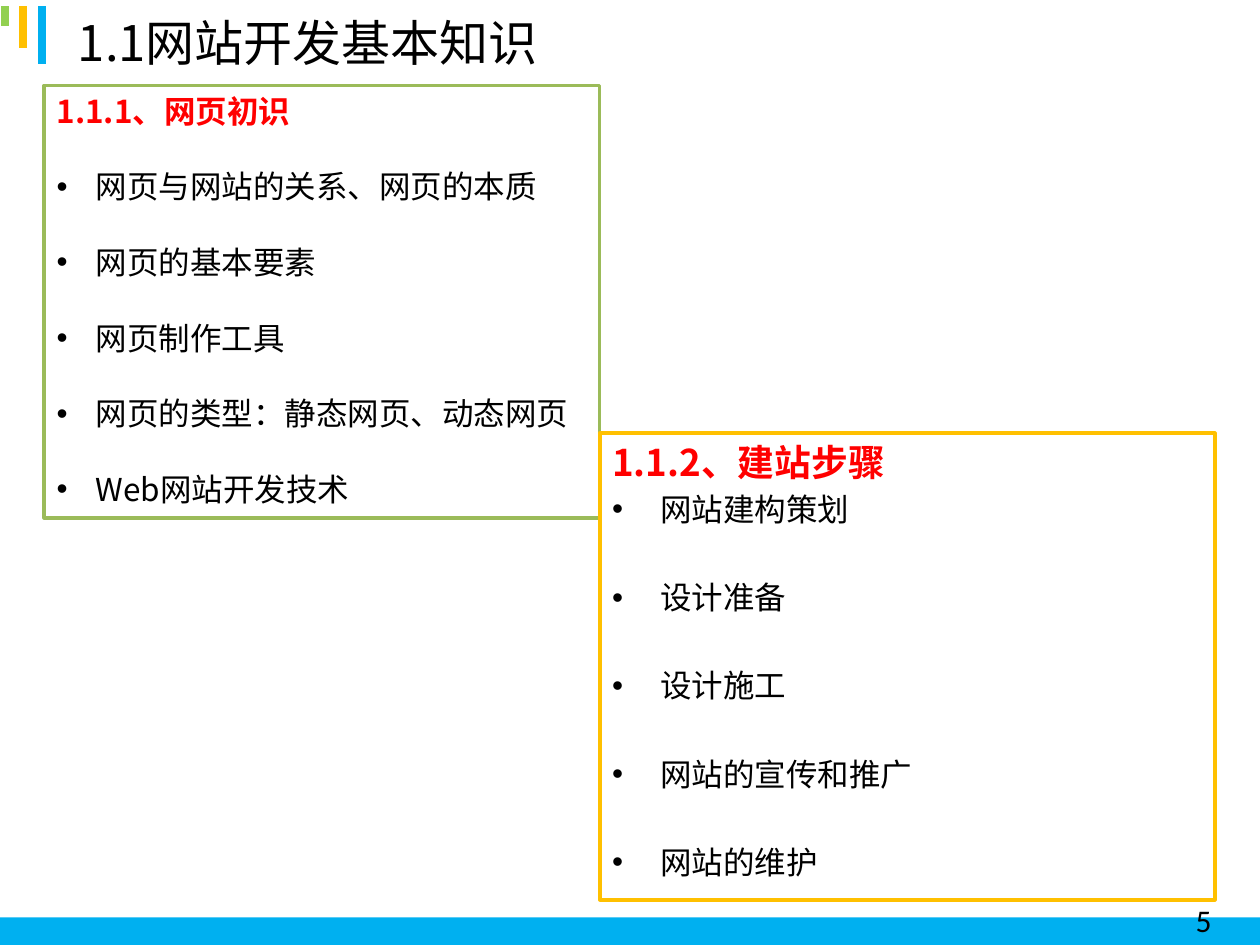
"""Build the slide on basic website development knowledge."""
from dataclasses import dataclass

import pptx
import pptx.chart.data
import pptx.dml.color
import pptx.enum.shapes
import pptx.enum.text
import pptx.oxml
import pptx.oxml.ns
import pptx.util
from pptx.util import Inches

COLORS = {
    "blue": "00B0F0",
    "amber": "FFC000",
    "lime": "92D050",
    "olive": "9BBB59",
    "red": "FF0000",
    "black": "000000",
    "white": "FFFFFF",
}
CJK_FONT = "Noto Sans CJK SC"
LINE_RATIO = 1.2


@dataclass
class Stripe:
    x: float
    bottom: float
    color: str


@dataclass
class Panel:
    box: tuple[float, float, float, float]
    border: str
    border_width: float
    fill: str | None
    heading: str
    heading_size: float
    items: list[str]
    indent: float
    first_gap: float
    gap: float


STRIPES = [
    Stripe(0.33, 0.51, "blue"),
    Stripe(0.18, 0.38, "amber"),
    Stripe(0.04, 0.21, "lime"),
]
PANELS = [
    Panel(
        (0.35, 0.68, 4.41, 3.43), "olive", 2, "white", "1.1.1、网页初识", 18,
        ["网页与网站的关系、网页的本质", "网页的基本要素", "网页制作工具",
         "网页的类型：静态网页、动态网页", "Web网站开发技术"],
        0.31, 21.6, 21.6,
    ),
    Panel(
        (4.76, 3.44, 4.88, 3.7), "amber", 2.25, None, "1.1.2、建站步骤", 21,
        ["网站建构策划", "设计准备", "设计施工", "网站的宣传和推广", "网站的维护"],
        0.38, 3.6, 28.8,
    ),
]


def rgb(color: str) -> pptx.dml.color.RGBColor:
    return pptx.dml.color.RGBColor.from_string(COLORS[color])


def write(paragraph, text: str, *, size: float = 18, color: str = "black",
          bold: bool = False, font: str = CJK_FONT, before: float = 0,
          indent: float = 0) -> None:
    paragraph.alignment = pptx.enum.text.PP_ALIGN.LEFT
    paragraph.line_spacing = pptx.util.Pt(round(size * LINE_RATIO, 2))
    paragraph.space_before = pptx.util.Pt(before)
    if indent:
        properties = paragraph._p.get_or_add_pPr()
        properties.set("marL", str(Inches(indent)))
        properties.set("indent", str(Inches(-indent)))
        namespace = pptx.oxml.ns.nsdecls("a")
        properties.append(pptx.oxml.parse_xml(f'<a:buFont {namespace} typeface="Arial"/>'))
        properties.append(pptx.oxml.parse_xml(f'<a:buChar {namespace} char="•"/>'))
    run = paragraph.add_run()
    run.text = text
    run.font.size = pptx.util.Pt(size)
    run.font.bold = bold
    run.font.color.rgb = rgb(color)
    run.font.name = font
    latin = run._r.rPr.find(pptx.oxml.ns.qn("a:latin"))
    latin.addnext(pptx.oxml.parse_xml(
        f'<a:ea {pptx.oxml.ns.nsdecls("a")} typeface="{font}"/>'))


def draw_rectangle(slide, box: tuple[float, float, float, float], fill: str | None,
                   border: str | None = None, width: float = 0):
    rectangle = slide.shapes.add_shape(
        pptx.enum.shapes.MSO_SHAPE.RECTANGLE, *map(Inches, box))
    rectangle.shadow.inherit = False
    if fill:
        rectangle.fill.solid()
        rectangle.fill.fore_color.rgb = rgb(fill)
    else:
        rectangle.fill.background()
    if border:
        rectangle.line.color.rgb = rgb(border)
        rectangle.line.width = pptx.util.Pt(width)
    else:
        rectangle.line.fill.background()
    return rectangle


def draw_stripe(slide, stripe: Stripe) -> None:
    line = slide.shapes.add_connector(
        pptx.enum.shapes.MSO_CONNECTOR.STRAIGHT,
        Inches(stripe.x), Inches(0.05), Inches(stripe.x), Inches(stripe.bottom))
    line.line.color.rgb = rgb(stripe.color)
    line.line.width = pptx.util.Pt(4.5)
    line._element.spPr.append(
        pptx.oxml.parse_xml(f'<a:effectLst {pptx.oxml.ns.nsdecls("a")}/>'))


def draw_label(slide, box: tuple[float, float, float, float], text: str,
               wrap: bool, **text_format) -> None:
    frame = slide.shapes.add_textbox(*map(Inches, box)).text_frame
    frame.word_wrap = wrap
    write(frame.paragraphs[0], text, **text_format)


def draw_panel(slide, panel: Panel) -> None:
    frame = draw_rectangle(
        slide, panel.box, panel.fill, panel.border, panel.border_width).text_frame
    frame.word_wrap = True
    frame.vertical_anchor = pptx.enum.text.MSO_ANCHOR.TOP
    write(frame.paragraphs[0], panel.heading, size=panel.heading_size,
          color="red", bold=True)
    for index, item in enumerate(panel.items):
        write(frame.add_paragraph(), item, indent=panel.indent,
              before=panel.gap if index else panel.first_gap)


def main() -> None:
    deck = pptx.Presentation()
    deck.slide_width, deck.slide_height = Inches(10), Inches(7.5)
    slide = deck.slides.add_slide(deck.slide_layouts[6])
    for stripe in STRIPES:
        draw_stripe(slide, stripe)
    draw_rectangle(slide, (0, 7.28, 10, 0.22), "blue")
    draw_label(slide, (9.39, 7.1, 0.63, 0.4), "5", True, font="Calibri")
    draw_label(slide, (0.52, 0.05, 3.99, 0.57), "1.1网站开发基本知识", False, size=28)
    for panel in PANELS:
        draw_panel(slide, panel)
    deck.save("out.pptx")


if __name__ == "__main__":
    main()
